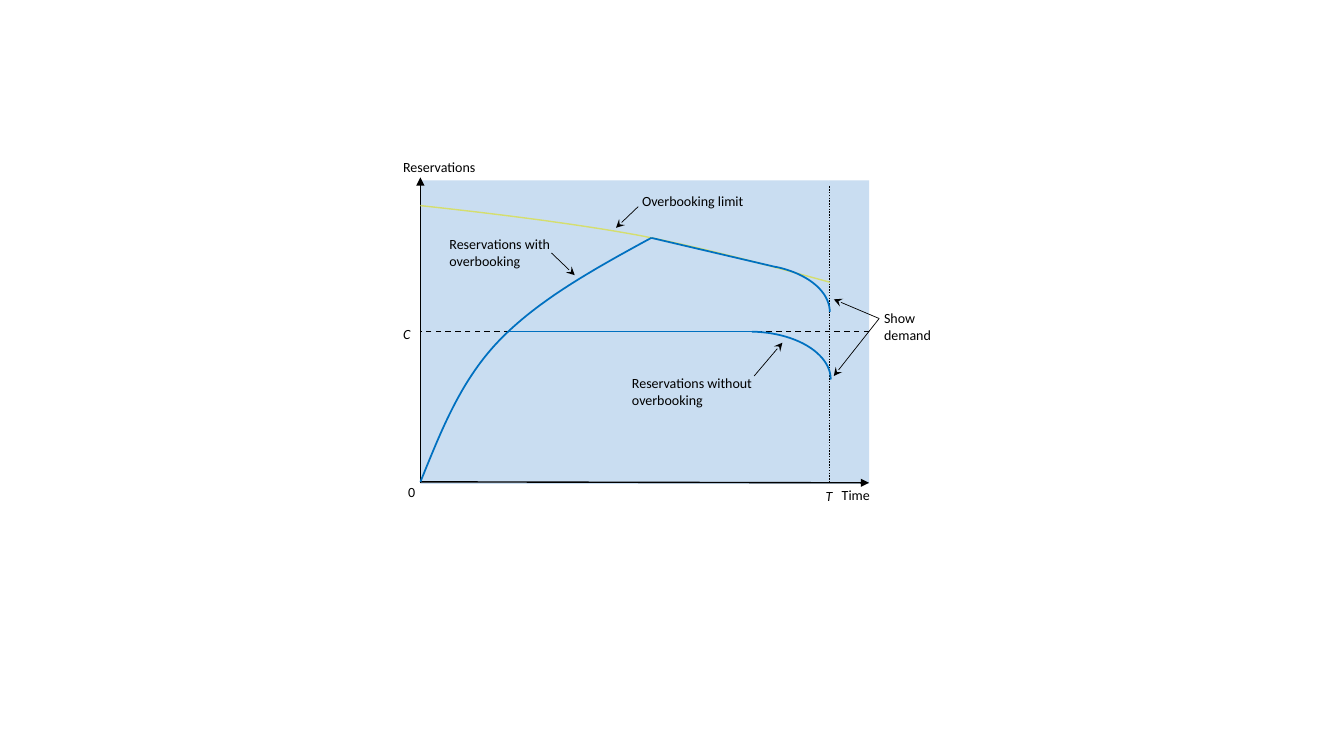
from lxml import etree
from pptx import Presentation
from pptx.dml.color import RGBColor
from pptx.enum.dml import MSO_LINE
from pptx.enum.shapes import MSO_CONNECTOR, MSO_SHAPE
from pptx.enum.text import MSO_AUTO_SIZE
from pptx.oxml.ns import qn
from pptx.util import Inches, Pt

STRAIGHT = MSO_CONNECTOR.STRAIGHT
RECTANGLE, ARC = MSO_SHAPE.RECTANGLE, MSO_SHAPE.ARC
DASH, DOT = MSO_LINE.DASH, MSO_LINE.ROUND_DOT
FIT_TEXT = MSO_AUTO_SIZE.SHAPE_TO_FIT_TEXT
COLORS = {"plot": "C9DDF1", "ink": "000000", "limit": "D5DE6E", "bookings": "0070C0"}
FONT = "Calibri"
CURVE_STEPS = 32
BOOKING_WIDTH = 1.25

# Positions below are inches from the plot's top left corner.
PLOT_BOX = (4.17, 1.79, 4.45, 3.01)
CAPACITY_Y = 1.5
DEPARTURE_X = 4.06
PEAK = (2.29, 0.57)


def style_line(line, color, width, dash=None):
    line.color.rgb = RGBColor.from_string(COLORS[color])
    line.width = Pt(width)
    if dash is not None:
        line.dash_style = dash


def add_line(slide, box, start, end, color="ink", width=1, dash=None, head=None):
    left, top = box[:2]
    connector = slide.shapes.add_connector(
        STRAIGHT, Inches(left + start[0]), Inches(top + start[1]),
        Inches(left + end[0]), Inches(top + end[1]))
    style_line(connector.line, color, width, dash)
    if head:
        etree.SubElement(connector.line._get_or_add_ln(), qn("a:tailEnd"), type=head)
    etree.SubElement(connector._element.spPr, qn("a:effectLst"))


def bezier_point(p0, p1, p2, p3, t):
    u = 1 - t
    return tuple(u**3 * a + 3 * u**2 * t * b + 3 * u * t**2 * c + t**3 * d
                 for a, b, c, d in zip(p0, p1, p2, p3))


def add_curve(slide, box, points, color, width):
    """Draw chained cubic curves: a start point, then three points per segment."""
    left, top = box[:2]
    track = [points[0]]
    for first in range(0, len(points) - 1, 3):
        track += [bezier_point(*points[first:first + 4], step / CURVE_STEPS)
                  for step in range(1, CURVE_STEPS + 1)]
    track = [(Inches(left + x), Inches(top + y)) for x, y in track]
    builder = slide.shapes.build_freeform(*track[0], scale=1.0)
    builder.add_line_segments(track[1:], close=False)
    curve = builder.convert_to_shape()
    curve.shadow.inherit = False
    curve.fill.background()
    style_line(curve.line, color, width)


def add_show_drop(slide, box, x, y, start_angle):
    """Draw the arc by which bookings fall to show demand at departure."""
    arc = slide.shapes.add_shape(
        ARC, Inches(box[0] + x), Inches(box[1] + y), Inches(1.61), Inches(0.95))
    # Angles are stored in 60000ths of a degree, adjustments in 100000ths.
    arc.adjustments[0] = start_angle * 0.6
    arc.adjustments[1] = 0
    arc.shadow.inherit = False
    arc.fill.background()
    style_line(arc.line, "bookings", BOOKING_WIDTH)


def add_text(slide, box, text, x, y, width, height=0.27, italic=False, wrap=False):
    label = slide.shapes.add_textbox(
        Inches(box[0] + x), Inches(box[1] + y), Inches(width), Inches(height))
    frame = label.text_frame
    frame.word_wrap = wrap
    frame.auto_size = FIT_TEXT
    paragraph = frame.paragraphs[0]
    paragraph.text = text.replace("\n", "\v")
    for run in paragraph.runs:
        run.font.name = FONT
        run.font.size = Pt(10)
        run.font.italic = italic
        run.font.color.rgb = RGBColor.from_string(COLORS["ink"])


def draw_plot(slide, box):
    left, top, width, height = box
    area = slide.shapes.add_shape(
        RECTANGLE, Inches(left), Inches(top), Inches(width), Inches(height))
    area.shadow.inherit = False
    area.fill.solid()
    area.fill.fore_color.rgb = RGBColor.from_string(COLORS["plot"])
    area.line.fill.background()
    add_line(slide, box, (0, 2.99), (width, 3), head="triangle")
    add_line(slide, box, (0, 3), (0, -0.03), head="triangle")
    add_line(slide, box, (DEPARTURE_X, 0.06), (DEPARTURE_X, 3), dash=DOT)


def draw_bookings(slide, box):
    add_curve(slide, box, [(0, 0.25), (0.73, 0.33), (1.47, 0.42), (2.14, 0.54),
                           (2.82, 0.67), (3.44, 0.84), (DEPARTURE_X, 1.01)], "limit", 1)
    add_line(slide, box, (box[2], CAPACITY_Y), (0, CAPACITY_Y), dash=DASH)
    add_curve(slide, box, [(0, 2.99), (0.2, 2.5), (0.39, 2), (0.77, 1.6),
                           (1.16, 1.19), (1.72, 0.88), PEAK], "bookings", BOOKING_WIDTH)
    add_show_drop(slide, box, 2.46, CAPACITY_Y, 272.87)
    add_line(slide, box, (3.33, CAPACITY_Y), (0.88, CAPACITY_Y), "bookings", BOOKING_WIDTH)
    add_show_drop(slide, box, 2.45, 0.83, 300.85)
    add_line(slide, box, (3.53, 0.86), PEAK, "bookings", BOOKING_WIDTH)


def draw_callouts(slide, box):
    show_demand = (4.55, 1.37)
    for start, end in [((3.31, 1.94), (3.59, 1.61)), ((1.3, 0.72), (1.53, 0.94)),
                       ((2.16, 0.26), (1.94, 0.47)), (show_demand, (4.1, 1.94)),
                       (show_demand, (4.1, 1.18))]:
        add_line(slide, box, start, end, width=0.5, head="stealth")
    for text, x, y, width, height in [
            ("Reservations without\noverbooking", 2, 1.88, 1.5, 0.44),
            ("Reservations with\noverbooking", 0.19, 0.5, 1.5, 0.44),
            ("Overbooking limit", 2.1, 0.07, 1.5, 0.27),
            ("Show\ndemand", 4.5, 1.23, 0.68, 0.44)]:
        add_text(slide, box, text, x, y, width, height, wrap=True)


def draw_axis_labels(slide, box):
    add_text(slide, box, "Time", 4.08, 2.99, 0.48)
    add_text(slide, box, "T", 3.92, 3, 0.27, italic=True)
    add_text(slide, box, "0", -0.22, 2.96, 0.27)
    add_text(slide, box, "C", -0.27, 1.39, 0.28, italic=True)
    add_text(slide, box, "Reservations", -0.27, -0.27, 0.93)


def main():
    deck = Presentation()
    deck.slide_width, deck.slide_height = Inches(13.33), Inches(7.5)
    slide = deck.slides.add_slide(deck.slide_layouts[6])
    for draw in (draw_plot, draw_bookings, draw_callouts, draw_axis_labels):
        draw(slide, PLOT_BOX)
    deck.save("out.pptx")


if __name__ == "__main__":
    main()
